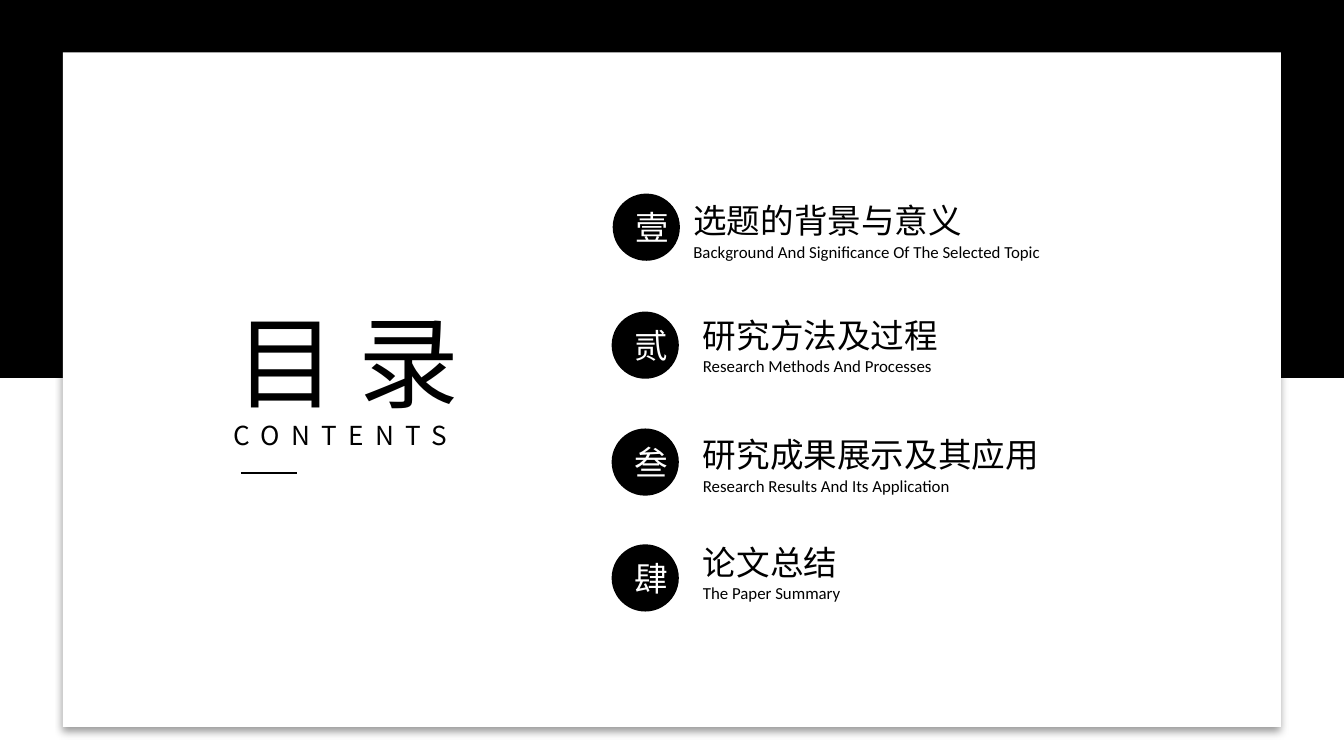
from lxml.etree import SubElement
from pptx import Presentation
from pptx.dml.color import RGBColor
from pptx.enum.shapes import MSO_CONNECTOR, MSO_SHAPE
from pptx.enum.text import MSO_ANCHOR, MSO_AUTO_SIZE, PP_ALIGN
from pptx.oxml.ns import qn
from pptx.util import Cm, Pt

BLACK, WHITE = "000000", "FFFFFF"
HAN, LATIN = "Noto Sans CJK SC", "Calibri"
WIDE, HIGH = 25.4, 14.29

# left and top of the row, number, text offset from the circle, wording
ROWS = [
    (11.58, 3.66, "壹", 1.27, 0, "选题的背景与意义",
     "Background And Significance Of The Selected Topic"),
    (11.56, 5.89, "贰", 1.47, -0.07, "研究方法及过程",
     "Research Methods And Processes"),
    (11.56, 8.1, "叁", 1.47, -0.02, "研究成果展示及其应用",
     "Research Results And Its Application"),
    (11.56, 10.29, "肆", 1.47, -0.18, "论文总结", "The Paper Summary"),
]


def paint(fill, color):
    fill.solid()
    fill.fore_color.rgb = RGBColor.from_string(color)


def style(para, size, face, color=BLACK, align=PP_ALIGN.LEFT):
    para.alignment = align
    for run in para.runs:
        font = run.font
        font.size, font.name, font.bold = Pt(size), face, False
        paint(font.fill, color)
        SubElement(run._r.get_or_add_rPr(), qn("a:ea"), typeface=face)


def place(shape, left, top, width, height):
    shape.left, shape.top = Cm(left), Cm(top)
    shape.width, shape.height = Cm(width), Cm(height)


def setup(frame, wrap):
    frame.word_wrap = wrap
    frame.auto_size = MSO_AUTO_SIZE.NONE
    frame.vertical_anchor = MSO_ANCHOR.TOP


def solid(slide, kind, box, color):
    shape = slide.shapes.add_shape(kind, *map(Cm, box))
    shape.shadow.inherit = False
    paint(shape.fill, color)
    shape.line.fill.background()
    return shape


def shade(shape):
    """Give the shape a soft shadow that falls straight down."""
    effect = shape._element.spPr.find(qn("a:effectLst"))
    outer = SubElement(effect, qn("a:outerShdw"), blurRad=str(Pt(4)),
                       dist=str(Pt(3)), dir="5400000", algn="t", rotWithShape="0")
    color = SubElement(outer, qn("a:srgbClr"), val=BLACK)
    SubElement(color, qn("a:alpha"), val="40000")


def backdrop(slide, left, top, width, height):
    paint(slide.background.fill, BLACK)
    half = height / 2
    solid(slide, MSO_SHAPE.RECTANGLE, (left, top + half, width, half), WHITE)
    card = (left + 1.19, top + 0.99, width - 2.38, height - 1.54)
    shade(solid(slide, MSO_SHAPE.RECTANGLE, card, WHITE))


def heading(slide, left, top, width):
    title = slide.shapes.title
    # Keep the title in front of the backdrop
    slide.shapes._spTree.append(title._element)
    place(title, left, top, width, 2.57)
    setup(title.text_frame, True)
    title.text_frame.text = "目 录"
    style(title.text_frame.paragraphs[0], 54, HAN, align=PP_ALIGN.CENTER)

    label = slide.shapes.add_textbox(Cm(left + 0.31), Cm(top + 2.26),
                                     Cm(5.13), Cm(0.86))
    setup(label.text_frame, False)
    label.text_frame.text = "CONTENTS"
    para = label.text_frame.paragraphs[0]
    style(para, 14, HAN)
    para.runs[0]._r.get_or_add_rPr().set("spc", "600")

    x, y = Cm(left + 0.69), Cm(top + 3.4)
    rule = slide.shapes.add_connector(MSO_CONNECTOR.STRAIGHT, x, y, x + Cm(1.06), y)
    paint(rule.line.fill, BLACK)
    rule.line.width = Pt(1.5)
    SubElement(rule._element.spPr, qn("a:effectLst"))


def entry(slide, body, left, top, mark, dx, dy, name, gloss):
    badge = solid(slide, MSO_SHAPE.OVAL, (left, top, 1.27, 1.27), BLACK)
    badge.text_frame.text = mark
    badge.text_frame.vertical_anchor = MSO_ANCHOR.MIDDLE
    style(badge.text_frame.paragraphs[0], 18, HAN, WHITE, PP_ALIGN.CENTER)

    slide.shapes._spTree.append(body._element)
    place(body, left + dx, top + dy, 7.11, 1.57)
    frame = body.text_frame
    setup(frame, False)
    frame.text = f"{name}\n{gloss}"
    for para, size, face, gap in zip(frame.paragraphs, (18, 9), (HAN, LATIN), (0, 0.5)):
        style(para, size, face)
        para.space_before = Pt(gap)
        props = para._p.get_or_add_pPr()
        props.set("marL", "0")
        props.set("indent", "0")
        SubElement(props, qn("a:buNone"))


def main():
    deck = Presentation()
    deck.slide_width, deck.slide_height = Cm(WIDE), Cm(HIGH)
    # The comparison layout has one title and four bodies
    slide = deck.slides.add_slide(deck.slide_layouts[4])
    bodies = [hold for hold in slide.placeholders
              if hold.placeholder_format.idx in range(1, 5)]
    backdrop(slide, 0, 0, WIDE, HIGH)
    heading(slide, 3.86, 5.54, 5.41)
    for body, row in zip(bodies, ROWS):
        entry(slide, body, *row)
    deck.save("out.pptx")


if __name__ == "__main__":
    main()
